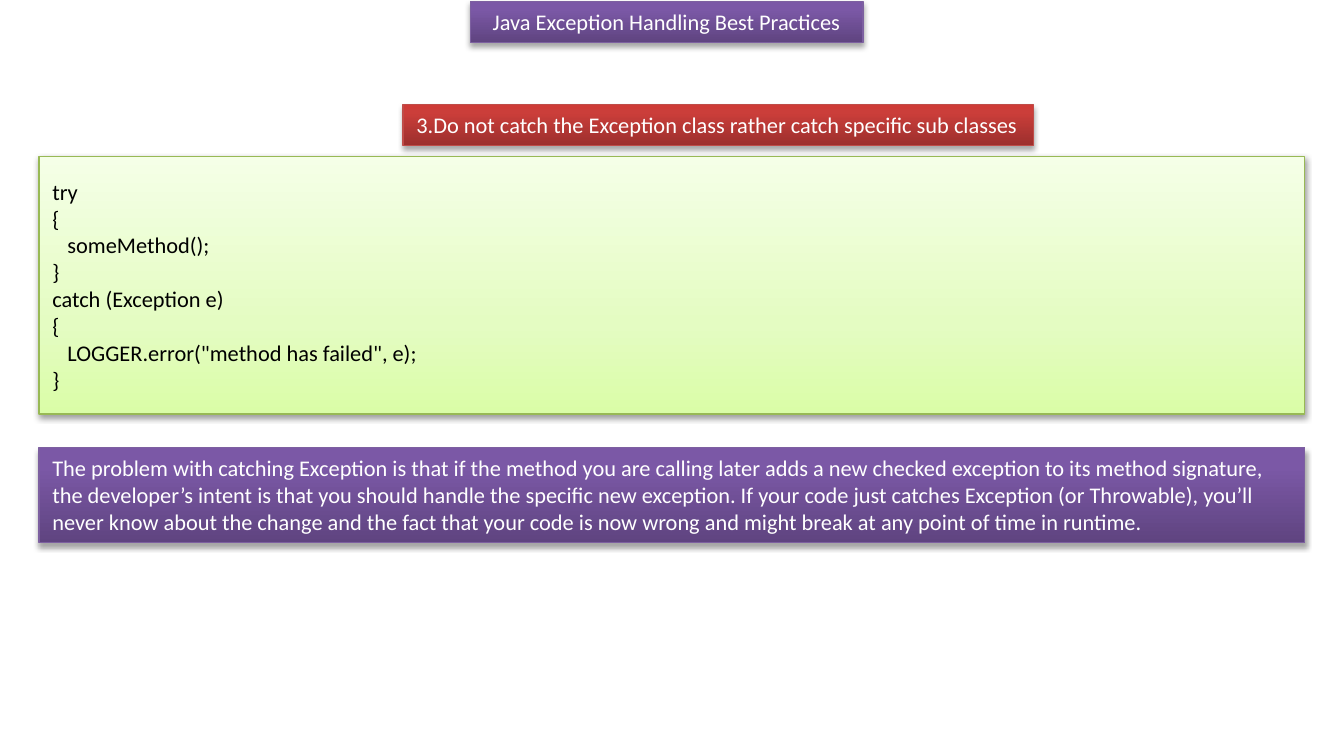
from copy import deepcopy

from lxml.etree import SubElement
from pptx import Presentation
from pptx.dml.color import RGBColor
from pptx.enum.shapes import MSO_SHAPE
from pptx.enum.text import MSO_ANCHOR, MSO_AUTO_SIZE, PP_ALIGN
from pptx.oxml.ns import qn
from pptx.util import Cm, Pt

PURPLE = {"stops": [(0, "5F4480"), (0.8, "7B58A6"), (1, "7C57A8")], "line": "7D60A0"}
RED = {"stops": [(0, "9C2F2D"), (0.8, "CB3E3A"), (1, "CE3B37")], "line": "BF4C48"}
GREEN = {"stops": [(0, "DAFDA7"), (0.35, "E4FCC2"), (1, "F5FFE7")], "line": "98B955"}

PANEL_LEFT = 0.74
PANEL_WIDTH = 23.92
ROW_HEIGHT = 0.77

CODE = """try
{
   someMethod();
}
catch (Exception e)
{
   LOGGER.error("method has failed", e);
}"""

EXPLANATION = (
    "The problem with catching Exception is that if the method you are calling later "
    "adds a new checked exception to its method signature, the developer’s intent is "
    "that you should handle the specific new exception. If your code just catches "
    "Exception (or Throwable), you’ll never know about the change and the fact that "
    "your code is now wrong and might break at any point of time in runtime."
)


def color(value):
    return RGBColor.from_string(value)


def place(box, left, top, width, height):
    box.left, box.top, box.width, box.height = map(Cm, (left, top, width, height))


def add_shadow(box, opacity, distance):
    box.shadow.inherit = False
    effects = box._element.spPr.find(qn("a:effectLst"))
    shadow = SubElement(
        effects, qn("a:outerShdw"), blurRad=str(Pt(3.1)), dist=str(Pt(distance)),
        dir="5400000", rotWithShape="0",
    )
    black = SubElement(shadow, qn("a:srgbClr"), val="000000")
    SubElement(black, qn("a:alpha"), val=str(opacity * 1000))


def paint(box, theme, opacity=35, distance=1.8):
    box.fill.gradient()
    box.fill.gradient_angle = 90
    stop_list = box._element.spPr.find(qn("a:gradFill")).find(qn("a:gsLst"))
    stop_list.append(deepcopy(stop_list[0]))
    for stop, (position, value) in zip(box.fill.gradient_stops, theme["stops"]):
        stop.position = position
        stop.color.rgb = color(value)
    box.line.color.rgb = color(theme["line"])
    box.line.width = Pt(0.75)
    add_shadow(box, opacity, distance)


def write(box, text, size=12, fill="FFFFFF", align=PP_ALIGN.LEFT,
          anchor=MSO_ANCHOR.TOP, wrap=True, fit=MSO_AUTO_SIZE.SHAPE_TO_FIT_TEXT):
    frame = box.text_frame
    frame.text = text
    frame.word_wrap = wrap
    frame.auto_size = fit
    frame.vertical_anchor = anchor
    for para in frame.paragraphs:
        para.alignment = align
        for span in para.runs:
            span.font.name = "Calibri"
            span.font.size = Pt(size)
            span.font.color.rgb = color(fill)


def add_panel(page, left, top, width, height):
    return page.shapes.add_shape(
        MSO_SHAPE.RECTANGLE, Cm(left), Cm(top), Cm(width), Cm(height))


def main():
    deck = Presentation()
    deck.slide_width, deck.slide_height = Cm(25.4), Cm(13.97)
    page = deck.slides.add_slide(deck.slide_layouts[5])

    title = page.shapes.title
    place(title, 8.89, 0.03, 7.42, ROW_HEIGHT)
    paint(title, PURPLE)
    write(title, "Java Exception Handling Best Practices", align=PP_ALIGN.CENTER,
          fit=MSO_AUTO_SIZE.NONE)

    code = add_panel(page, PANEL_LEFT, 2.96, PANEL_WIDTH, 4.87)
    paint(code, GREEN, opacity=38, distance=1.6)
    write(code, CODE, fill="000000", anchor=MSO_ANCHOR.MIDDLE, fit=MSO_AUTO_SIZE.NONE)

    rule = add_panel(page, 7.62, 1.98, 11.91, ROW_HEIGHT)
    paint(rule, RED)
    write(rule, "3.Do not catch the Exception class rather catch specific sub classes",
          wrap=False)

    explanation = add_panel(page, PANEL_LEFT, 8.46, PANEL_WIDTH, 1.8)
    paint(explanation, PURPLE)
    write(explanation, EXPLANATION)

    deck.save("out.pptx")


if __name__ == "__main__":
    main()
